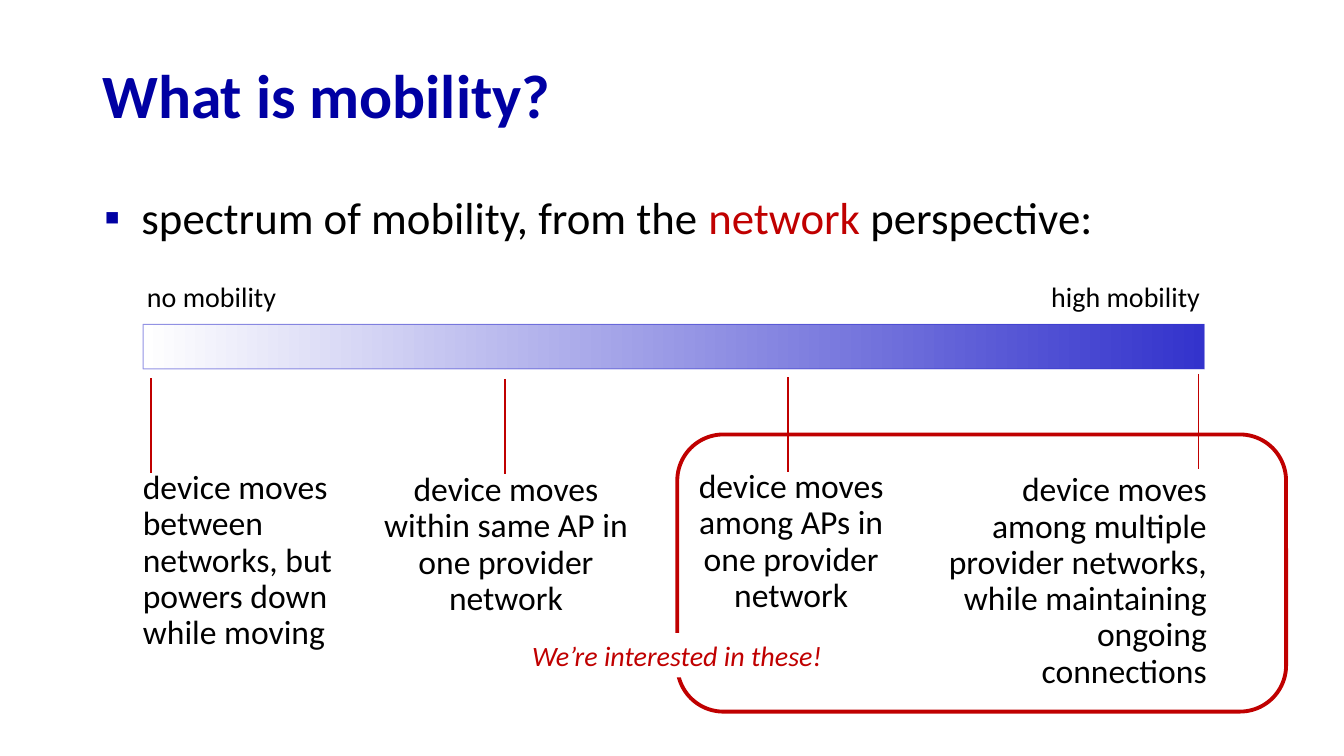
from lxml import etree
from pptx import Presentation
from pptx.dml.color import RGBColor
from pptx.enum.shapes import MSO_CONNECTOR, MSO_SHAPE
from pptx.enum.text import MSO_ANCHOR, PP_ALIGN
from pptx.oxml.ns import qn
from pptx.util import Pt

LEFT, CENTER, RIGHT = PP_ALIGN.LEFT, PP_ALIGN.CENTER, PP_ALIGN.RIGHT
TOP, MIDDLE = MSO_ANCHOR.TOP, MSO_ANCHOR.MIDDLE
RECTANGLE, ROUNDED = MSO_SHAPE.RECTANGLE, MSO_SHAPE.ROUNDED_RECTANGLE
STRAIGHT = MSO_CONNECTOR.STRAIGHT

FONT = "Calibri"
COLORS = {
    "black": "000000",
    "white": "FFFFFF",
    "navy": "0000A3",
    "spectrum": "3333CC",
    "red": "C00000",
}
MARKER_LENGTH = 68
STAGES = [
    ((95, 332.6, 191.5, 138.2), LEFT, (108, 270),
     ["device moves", "between networks, but", "powers down", "while moving"]),
    ((267.1, 334.1, 188.6, 112.3), CENTER, (360.7, 270.7),
     ["device moves within same AP in", "one provider", "network"]),
    ((661, 334.1, 208.1, 164.2), RIGHT, (856.1, 267.1),
     ["device moves", "among multiple", "provider networks,",
      "while maintaining", "ongoing connections"]),
    ((480.2, 331.9, 169.9, 112.3), CENTER, (563, 269.3),
     ["device moves among APs in", "one provider", "network"]),
]


def rgb(name):
    return RGBColor.from_string(COLORS[name])


def points(box):
    return [Pt(length) for length in box]


def style(run, size, color, bold=False, italic=False):
    run.font.name = FONT
    run.font.size = Pt(size)
    run.font.bold = bold
    run.font.italic = italic
    run.font.color.rgb = rgb(color)


def add_text(slide, box, lines, size, color="black", align=LEFT, anchor=TOP,
             spacing=1.0, bold=False, italic=False):
    label = slide.shapes.add_textbox(*points(box))
    frame = label.text_frame
    frame.word_wrap = True
    frame.vertical_anchor = anchor
    frame.text = "\n".join(lines)
    for paragraph in frame.paragraphs:
        paragraph.alignment = align
        paragraph.line_spacing = spacing
        for run in paragraph.runs:
            style(run, size, color, bold, italic)
    return label


def add_bullet_line(slide, box, pieces, size):
    line = add_text(slide, box, [""], size, spacing=0.9)
    paragraph = line.text_frame.paragraphs[0]
    properties = paragraph._p.get_or_add_pPr()
    properties.set("marL", str(Pt(28)))
    properties.set("indent", str(Pt(-26.6)))
    bullet_color = etree.SubElement(properties, qn("a:buClr"))
    etree.SubElement(bullet_color, qn("a:srgbClr"), val=COLORS["navy"])
    etree.SubElement(properties, qn("a:buFont"), typeface="Wingdings")
    etree.SubElement(properties, qn("a:buChar"), char="▪")
    properties.find(qn("a:buFont")).set("typeface", FONT)
    for words, color in pieces:
        run = paragraph.add_run()
        run.text = words
        style(run, size, color)


def add_spectrum_bar(slide, box):
    bar = slide.shapes.add_shape(RECTANGLE, *points(box))
    bar.shadow.inherit = False
    bar.fill.gradient()
    bar.fill.gradient_angle = 0
    for stop, color in zip(bar.fill.gradient_stops, ("white", "spectrum")):
        stop.color.rgb = rgb(color)
    bar.line.color.rgb = rgb("spectrum")
    bar.line.width = Pt(0.75)
    outline_color = bar.line._ln.find(".//" + qn("a:srgbClr"))
    etree.SubElement(outline_color, qn("a:alpha"), val="52000")


def add_marker(slide, x, y):
    marker = slide.shapes.add_connector(
        STRAIGHT, *points((x, y, x, y + MARKER_LENGTH)))
    marker.line.color.rgb = rgb("red")
    marker.line.width = Pt(1.25)
    etree.SubElement(marker._element.spPr, qn("a:effectLst"))


def add_highlight(slide, box):
    highlight = slide.shapes.add_shape(ROUNDED, *points(box))
    highlight.shadow.inherit = False
    highlight.fill.background()
    highlight.line.color.rgb = rgb("red")
    highlight.line.width = Pt(2.75)


def main():
    deck = Presentation()
    deck.slide_width, deck.slide_height = Pt(960), Pt(540)
    slide = deck.slides.add_slide(deck.slide_layouts[6])

    add_bullet_line(slide, (66, 136, 828, 43), [
        ("spectrum of mobility, from the ", "black"),
        ("network", "red"),
        (" perspective:", "black"),
    ], 32)
    add_text(slide, (66, 35.3, 828, 70.6), ["What is mobility?"], 44, "navy",
             anchor=MIDDLE, spacing=0.9, bold=True)

    add_spectrum_bar(slide, (102.2, 231.8, 758.2, 31.7))
    add_text(slide, (97.9, 195.8, 142.6, 31.7), ["no mobility"], 20)
    add_text(slide, (743.8, 195.8, 161.3, 31.7), ["high mobility"], 20)

    for box, align, marker_start, lines in STAGES:
        add_text(slide, box, lines, 24, align=align, spacing=0.9)
        add_marker(slide, *marker_start)

    add_highlight(slide, (483.8, 310.3, 434.9, 198))
    remark = add_text(slide, (373, 452.2, 228.2, 31.7),
                      ["We’re interested in these!"], 20, "red", italic=True)
    remark.fill.solid()
    remark.fill.fore_color.rgb = rgb("white")

    deck.save("out.pptx")


if __name__ == "__main__":
    main()
